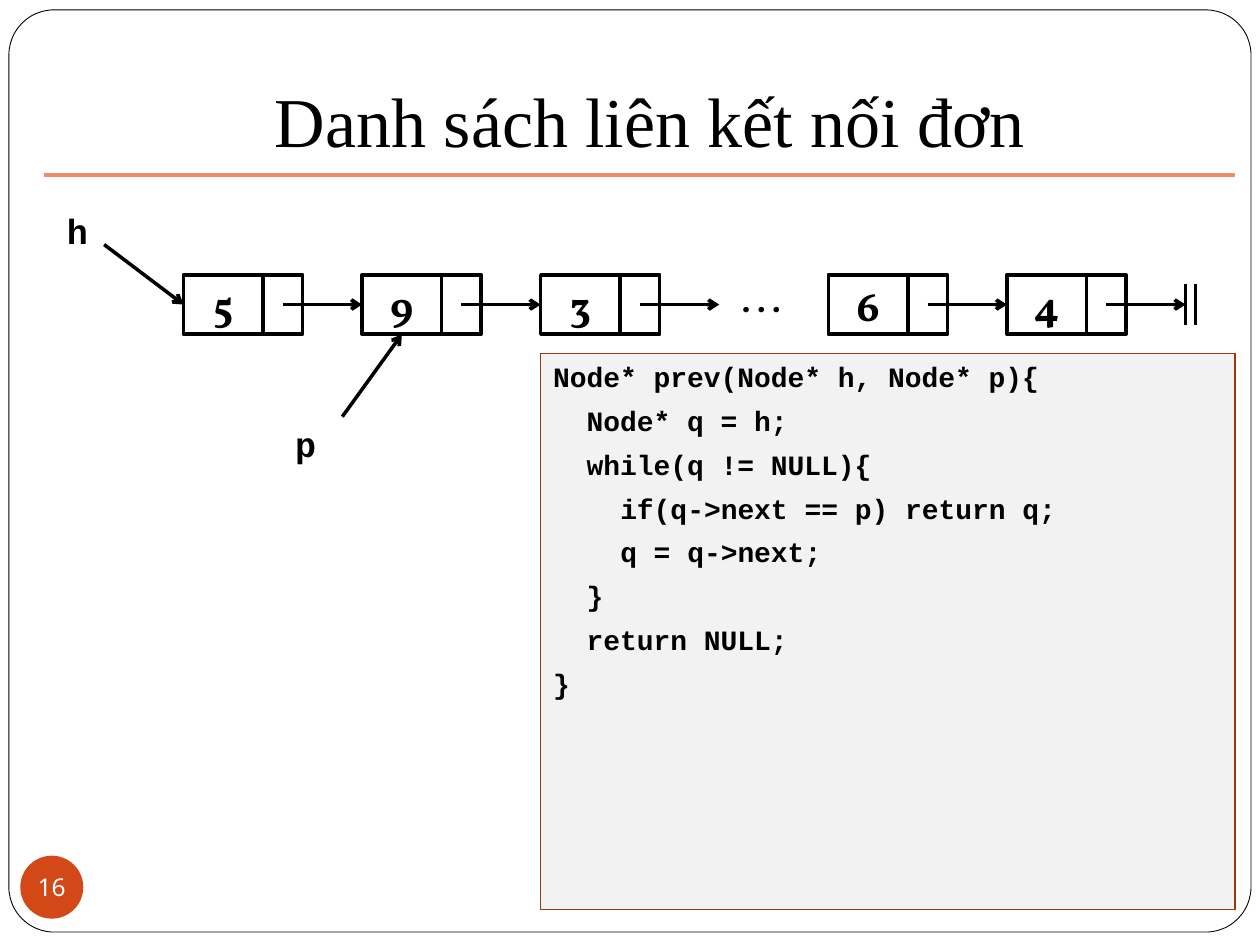
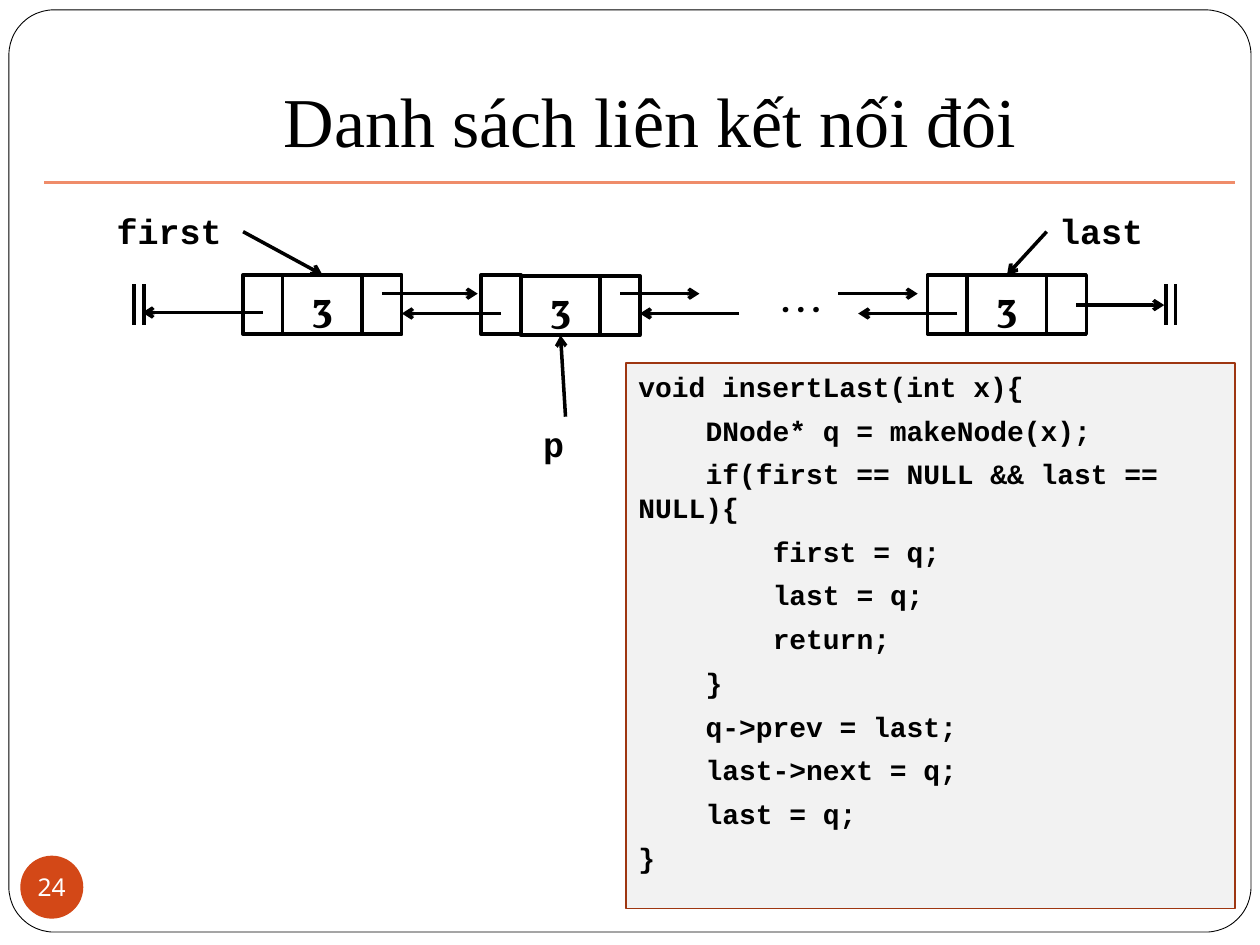
from lxml import etree
from pptx import Presentation
from pptx.dml.color import RGBColor
from pptx.enum.shapes import MSO_CONNECTOR, MSO_SHAPE
from pptx.enum.text import MSO_ANCHOR, MSO_AUTO_SIZE, PP_ALIGN
from pptx.oxml.ns import qn
from pptx.util import Cm, Pt

RECT, ROUND, OVAL = MSO_SHAPE.RECTANGLE, MSO_SHAPE.ROUNDED_RECTANGLE, MSO_SHAPE.OVAL
STRAIGHT = MSO_CONNECTOR.STRAIGHT
TOP, MIDDLE, BOTTOM = MSO_ANCHOR.TOP, MSO_ANCHOR.MIDDLE, MSO_ANCHOR.BOTTOM
LEFT, CENTER = PP_ALIGN.LEFT, PP_ALIGN.CENTER

COLORS = {k: RGBColor.from_string(v) for k, v in {
    "ink": "000000", "paper": "FFFFFF", "rule": "EF8C6A",
    "badge": "D34817", "code": "F2F2F2", "code_edge": "9E3611"}.items()}
CODE_FONT, NODE_FONT = "Courier New", "Vollkorn"
CODE_SIZE = 16
CHAR = 0.6 * CODE_SIZE  # width of one code character in points

# Linked list geometry in cm
VALUE_W, LINK_W, NODE_H = 1.6, 0.8, 1.2
NODE_Y = 5.54
MID_Y = NODE_Y + NODE_H / 2
NEXT_Y, PREV_Y = 5.92, 6.32
LABEL_Y, P_Y = 4.1, 8.4
WALL_Y, WALL_H, WALL_GAP = 5.73, 0.83, 0.2

SINGLE_NODES = [(3.7, "5"), (7.3, "9"), (10.9, "3"), (16.7, "6"), (20.3, "4")]
DOUBLE_NODES = [(4.9, NODE_Y), (9.7, 5.56), (18.7, NODE_Y)]

SLIDES = [
    {"title": "Danh sách liên kết nối đơn", "number": "16", "rule_y": 3.53,
     # cell: left, top, width, value
     "cells": [cell for x, value in SINGLE_NODES for cell in (
         (x, NODE_Y, VALUE_W, value), (x + VALUE_W, NODE_Y, LINK_W, ""))],
     # arrow: x and y of start, x and y of end
     "arrows": [(x + 2, MID_Y, x + 3.6, MID_Y) for x, _ in SINGLE_NODES]
     + [(2.1, 4.93, 3.7, MID_Y), (6.9, P_Y, 8.1, NODE_Y + NODE_H)],
     "walls": [23.9],
     # label: left, top, width, text
     "labels": [(1.1, LABEL_Y, 2.4, "h"), (5.7, P_Y, 1.2, "p")],
     "dots_x": 14.7,
     "code_at": (10.9, 7.13, 14, 11.2),
     "code": """Node* prev(Node* h, Node* p){
  Node* q = h;
  while(q != NULL){
    if(q->next == p) return q;
    q = q->next;
  }
  return NULL;
}"""},
    {"title": "Danh sách liên kết nối đôi", "number": "24", "rule_y": 3.68,
     "cells": [cell for x, y in DOUBLE_NODES for cell in (
         (x, NODE_Y, LINK_W, ""), (x + LINK_W, y, VALUE_W, "3"),
         (x + LINK_W + VALUE_W, y, LINK_W, ""))],
     "arrows": [(a, NEXT_Y, b, NEXT_Y)
                for a, b in ((7.7, 9.63), (12.5, 14.1), (16.9, 18.5))]
     + [(x, PREV_Y, x - 2, PREV_Y) for x in (10.1, 14.9, 19.3)]
     + [(5.3, 6.3, 2.87, 6.3), (21.7, 6.15, 23.47, 6.15),
        (4.9, 4.67, 6.5, NODE_Y), (21.1, 4.67, 20.3, NODE_Y),
        (11.4, P_Y, 11.3, 6.76)],
     "walls": [2.7, 23.5],
     "labels": [(2.1, LABEL_Y, 2.8, "first"), (21.1, LABEL_Y, 2.8, "last"),
                (10.7, P_Y, 1.4, "p")],
     "dots_x": 15.5,
     "code_at": (12.62, 7.32, 12.28, 11),
     "code": """void insertLast(int x){
    DNode* q = makeNode(x);
    if(first == NULL && last == NULL){
        first = q;
        last = q;
        return;
    }
    q->prev = last;
    last->next = q;
    last = q;
}"""},
]


def put_text(sp, text, font=CODE_FONT, size=20, color="ink", bold=True,
             align=LEFT, anchor=TOP, before=0, wrap=True):
    """Write text into a shape; leading spaces become a first-line indent."""
    tf = sp.text_frame
    tf.auto_size = MSO_AUTO_SIZE.NONE
    tf.word_wrap = wrap
    tf.vertical_anchor = anchor
    for i, line in enumerate(text.split("\n")):
        p = tf.add_paragraph() if i else tf.paragraphs[0]
        p.alignment = align
        p.space_before = Pt(before)
        indent = len(line) - len(line.lstrip())
        if indent:
            p._p.get_or_add_pPr().set("indent", str(Pt(indent * CHAR)))
        r = p.add_run()
        r.text = line.lstrip()
        r.font.name, r.font.size, r.font.bold = font, Pt(size), bold
        r.font.color.rgb = COLORS[color]


def add_line(s, x1, y1, x2, y2, color="ink", arrow=False):
    sp = s.shapes.add_connector(STRAIGHT, Cm(x1), Cm(y1), Cm(x2), Cm(y2))
    sp.line.color.rgb = COLORS[color]
    sp.line.width = Pt(2)
    spPr = sp.element.spPr
    if arrow:
        etree.SubElement(spPr.find(qn("a:ln")), qn("a:tailEnd"), type="arrow")
    etree.SubElement(spPr, qn("a:effectLst"))


prs = Presentation()
prs.slide_width, prs.slide_height = Cm(25.4), Cm(19.05)

for n, data in enumerate(SLIDES):
    s = prs.slides.add_slide(prs.slide_layouts[5])

    # Rounded frame, drawn once and kept on the master
    if n == 0:
        sp = s.shapes.add_shape(ROUND, Cm(0.18), Cm(0.2), Cm(25.04), Cm(18.59))
        sp.adjustments[0] = 0.049
        sp.shadow.inherit = False
        sp.fill.solid()
        sp.fill.fore_color.rgb = COLORS["paper"]
        sp.line.color.rgb = COLORS["ink"]
        sp.line.width = Pt(0.5)
        prs.slide_master.shapes.element.insert(2, sp.element)

    # Title and rule
    sp = s.shapes.title
    sp.left, sp.top, sp.width, sp.height = Cm(1.3), Cm(0.33), Cm(23.6), Cm(3.18)
    put_text(sp, data["title"], font="Times New Roman", size=40, bold=False,
             align=CENTER, anchor=BOTTOM)
    sp.text_frame.margin_bottom = Cm(0.25)
    add_line(s, 0.89, data["rule_y"], 24.89, data["rule_y"], color="rule")

    # Slide number badge
    sp = s.shapes.add_shape(OVAL, Cm(0.41), Cm(17.25), Cm(1.27), Cm(1.27))
    sp.shadow.inherit = False
    sp.fill.solid()
    sp.fill.fore_color.rgb = COLORS["badge"]
    sp.line.fill.background()
    put_text(sp, data["number"], font="Noto Sans", size=14, color="paper",
             bold=False, align=CENTER, anchor=MIDDLE, wrap=False)
    tf = sp.text_frame
    tf.margin_left = tf.margin_right = tf.margin_top = tf.margin_bottom = 0

    # Node cells
    for x, y, w, value in data["cells"]:
        sp = s.shapes.add_shape(RECT, Cm(x), Cm(y), Cm(w), Cm(NODE_H))
        sp.shadow.inherit = False
        sp.fill.background()
        sp.line.color.rgb = COLORS["ink"]
        sp.line.width = Pt(2)
        if value:
            put_text(sp, value, font=NODE_FONT, size=24, align=CENTER, anchor=MIDDLE)

    # Links, pointers and null ends
    for ends in data["arrows"]:
        add_line(s, *ends, arrow=True)
    for wall in data["walls"]:
        for x in (wall, wall + WALL_GAP):
            add_line(s, x, WALL_Y, x, WALL_Y + WALL_H)

    # Pointer names and ellipsis
    for x, y, w, name in data["labels"]:
        put_text(s.shapes.add_textbox(Cm(x), Cm(y), Cm(w), Cm(1.1)), name)
    sp = s.shapes.add_textbox(Cm(data["dots_x"]), Cm(NODE_Y), Cm(2.4), Cm(1))
    put_text(sp, ". . .", font=NODE_FONT, size=18)

    # Code panel
    sp = s.shapes.add_shape(RECT, *(Cm(v) for v in data["code_at"]))
    sp.shadow.inherit = False
    sp.fill.solid()
    sp.fill.fore_color.rgb = COLORS["code"]
    sp.line.color.rgb = COLORS["code_edge"]
    sp.line.width = Pt(0.75)
    put_text(sp, data["code"], size=CODE_SIZE, before=5.8)

prs.save("out.pptx")
